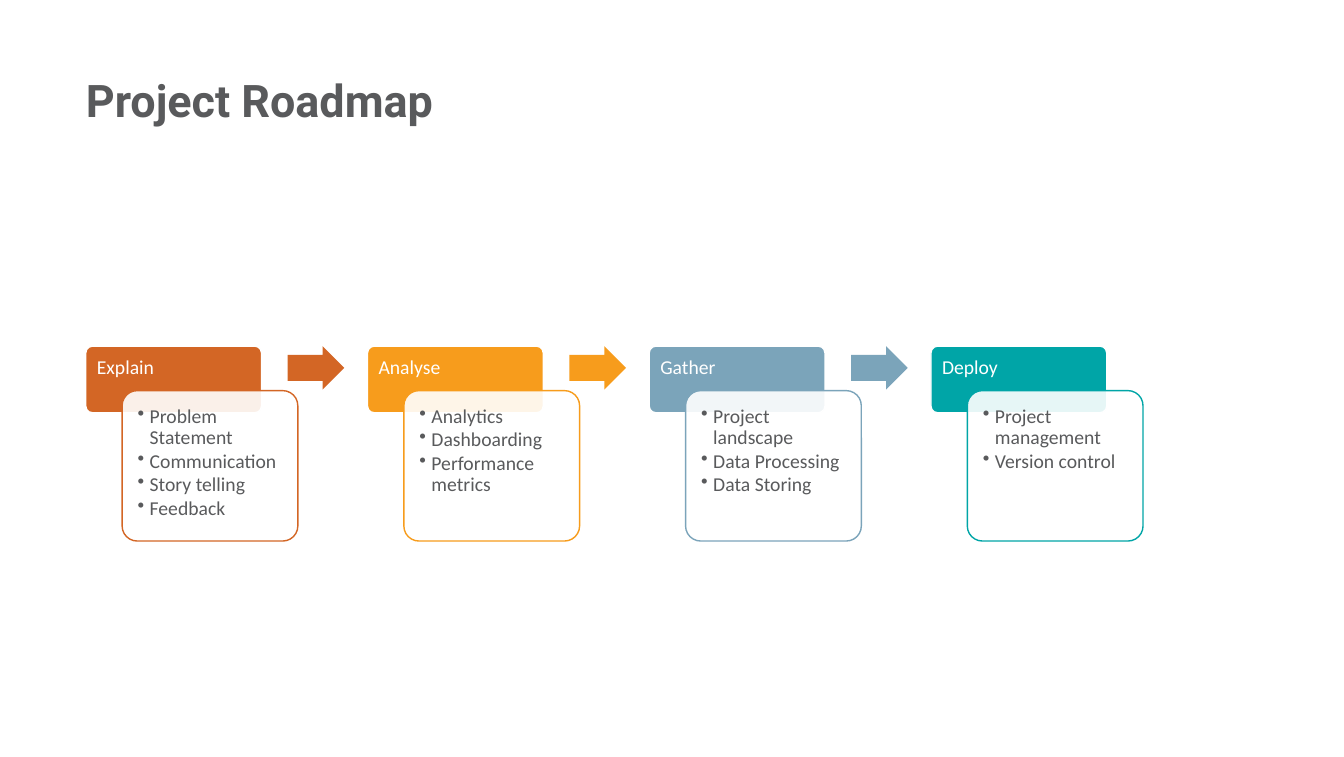
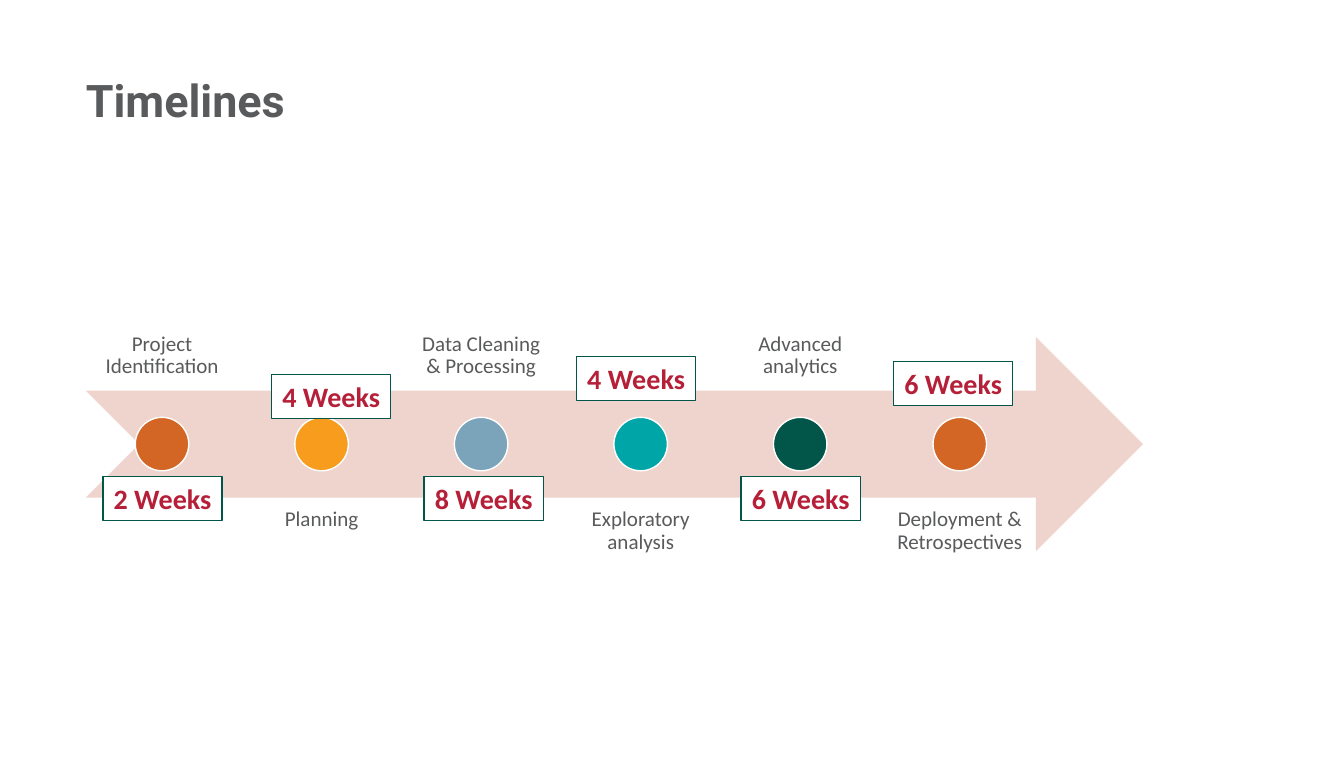
import pptx
import pptx.util
import pptx.dml.color
import pptx.enum.shapes
import pptx.enum.text
import pptx.oxml.ns
from lxml import etree

Inches, Pt = pptx.util.Inches, pptx.util.Pt
SHAPE = pptx.enum.shapes.MSO_SHAPE
ALIGN = pptx.enum.text.PP_ALIGN
ANCHOR = pptx.enum.text.MSO_ANCHOR
AUTO_SIZE = pptx.enum.text.MSO_AUTO_SIZE
qn = pptx.oxml.ns.qn

COLOURS = {
    "white": "FFFFFF", "text": "595A5C", "orange": "D36625", "amber": "F79C1C",
    "blue": "7BA4BA", "teal": "00A5A7", "green": "025549", "blush": "EFD3CD",
    "red": "B61F38",
}
LEFT, CONTENT_WIDTH = 0.85, 10.47

# Content: heading, colour, bullets
PHASES = [
    ("Explain", "orange", ["Problem Statement", "Communication", "Story telling", "Feedback"]),
    ("Analyse", "amber", ["Analytics", "Dashboarding", "Performance metrics"]),
    ("Gather", "blue", ["Project landscape", "Data Processing", "Data Storing"]),
    ("Deploy", "teal", ["Project management", "Version control"]),
]
# Content: label, dot colour, duration, left and top of the duration tag
MILESTONES = [
    ("Project Identification", "orange", "2 Weeks", 1.02, 4.72),
    ("Planning", "amber", "4 Weeks", 2.69, 3.71),
    ("Data Cleaning & Processing", "blue", "8 Weeks", 4.2, 4.72),
    ("Exploratory analysis", "teal", "4 Weeks", 5.71, 3.53),
    ("Advanced analytics", "green", "6 Weeks", 7.34, 4.72),
    ("Deployment & Retrospectives", "orange", "6 Weeks", 8.85, 3.58),
]


# Shared helpers
def colour(name):
    return pptx.dml.color.RGBColor.from_string(COLOURS[name])


def box(left, top, width, height):
    return [Inches(value) for value in (left, top, width, height)]


def add_shape(slide, kind, place, fill, line=None, adjustments=()):
    shape = slide.shapes.add_shape(kind, *box(*place))
    shape.shadow.inherit = False
    shape.fill.solid()
    shape.fill.fore_color.rgb = colour(fill)
    if line:
        shape.line.color.rgb = colour(line)
        shape.line.width = Pt(1)
    else:
        shape.line.fill.background()
    for index, value in enumerate(adjustments):
        shape.adjustments[index] = value
    return shape


def set_opacity(shape, percent):
    solid_fill = shape.fill._xPr.find(qn("a:solidFill"))
    etree.SubElement(solid_fill[0], qn("a:alpha"), val=str(percent * 1000))


def add_bullet(paragraph):
    properties = paragraph._p.get_or_add_pPr()
    properties.set("marL", str(Inches(0.12)))
    properties.set("indent", str(-Inches(0.12)))
    etree.SubElement(properties, qn("a:buChar"), char="•")


def write(shape, lines, size, ink, font="Calibri", bold=False, align=ALIGN.LEFT,
          anchor=ANCHOR.TOP, inset=0.11, spacing=0.9, after=0, bullets=False):
    frame = shape.text_frame
    frame.word_wrap = True
    frame.auto_size = AUTO_SIZE.NONE
    frame.vertical_anchor = anchor
    frame.margin_left = frame.margin_right = Inches(inset)
    frame.margin_top = frame.margin_bottom = Inches(inset)
    frame.text = "\n".join(lines)
    for paragraph in frame.paragraphs:
        paragraph.alignment = align
        paragraph.line_spacing = spacing
        paragraph.space_after = Pt(after)
        if bullets:
            add_bullet(paragraph)
        paragraph.font.name = font
        paragraph.font.size = Pt(size)
        paragraph.font.bold = bold
        paragraph.font.color.rgb = colour(ink)


def add_titled_slide(presentation, title_text):
    slide = presentation.slides.add_slide(presentation.slide_layouts[5])
    title = slide.shapes.title
    title.left, title.top, title.width, title.height = box(LEFT, 0.78, CONTENT_WIDTH, 0.27)
    write(title, [title_text], 32, "text", font="Roboto", bold=True, inset=0)
    return slide


# Slide 1: overlapping header and card for each phase, joined by arrows
def build_roadmap(presentation):
    slide = add_titled_slide(presentation, "Project Roadmap")
    top, width, header_height = 3.43, 1.74, 0.66
    card_shift, card_drop, card_height = 0.36, 0.44, 1.49
    pitch = (CONTENT_WIDTH - width - card_shift) / (len(PHASES) - 1)
    for index, (heading, tint, bullets) in enumerate(PHASES):
        left = LEFT + index * pitch
        header = add_shape(slide, SHAPE.ROUNDED_RECTANGLE,
                           (left, top, width, header_height), tint, "white", [0.1])
        write(header, [heading], 14, "white", inset=0.09)
        card = add_shape(slide, SHAPE.ROUNDED_RECTANGLE,
                         (left + card_shift, top + card_drop, width, card_height),
                         "white", tint, [0.1])
        set_opacity(card, 90)
        write(card, bullets, 14, "text", after=1.8, bullets=True)
        if index < len(PHASES) - 1:
            add_shape(slide, SHAPE.RIGHT_ARROW, (left + 2, top, 0.56, 0.43),
                      tint, adjustments=[0.6, 0.5])


# Slide 2: milestones along an arrow, labels alternately above and below
def build_timeline(presentation):
    slide = add_titled_slide(presentation, "Timelines")
    arrow_top, arrow_height = 3.34, 2.12
    label_width, pitch, dot = 1.51, 1.58, 0.53
    dot_top = arrow_top + (arrow_height - dot) / 2
    add_shape(slide, SHAPE.NOTCHED_RIGHT_ARROW,
              (LEFT, arrow_top, CONTENT_WIDTH, arrow_height), "blush")
    for index, (text, tint, *_) in enumerate(MILESTONES):
        left = LEFT + index * pitch
        above = index % 2 == 0
        label_top = 1.75 if above else 4.92
        label = slide.shapes.add_textbox(*box(left, label_top, label_width, arrow_height))
        write(label, [text], 15, "text", align=ALIGN.CENTER, inset=0.12,
              anchor=ANCHOR.BOTTOM if above else ANCHOR.TOP)
        add_shape(slide, SHAPE.OVAL,
                  (left + (label_width - dot) / 2, dot_top, dot, dot), tint, "white")
    for *_, duration, left, top in MILESTONES:
        tag = add_shape(slide, SHAPE.RECTANGLE, (left, top, 1.18, 0.44), "white", "green")
        write(tag, [duration], 20, "red", bold=True, align=ALIGN.CENTER,
              anchor=ANCHOR.MIDDLE, inset=0.05, spacing=1.0)


def main():
    presentation = pptx.Presentation()
    presentation.slide_width, presentation.slide_height = Inches(13.31), Inches(7.5)
    build_roadmap(presentation)
    build_timeline(presentation)
    presentation.save("out.pptx")


if __name__ == "__main__":
    main()
